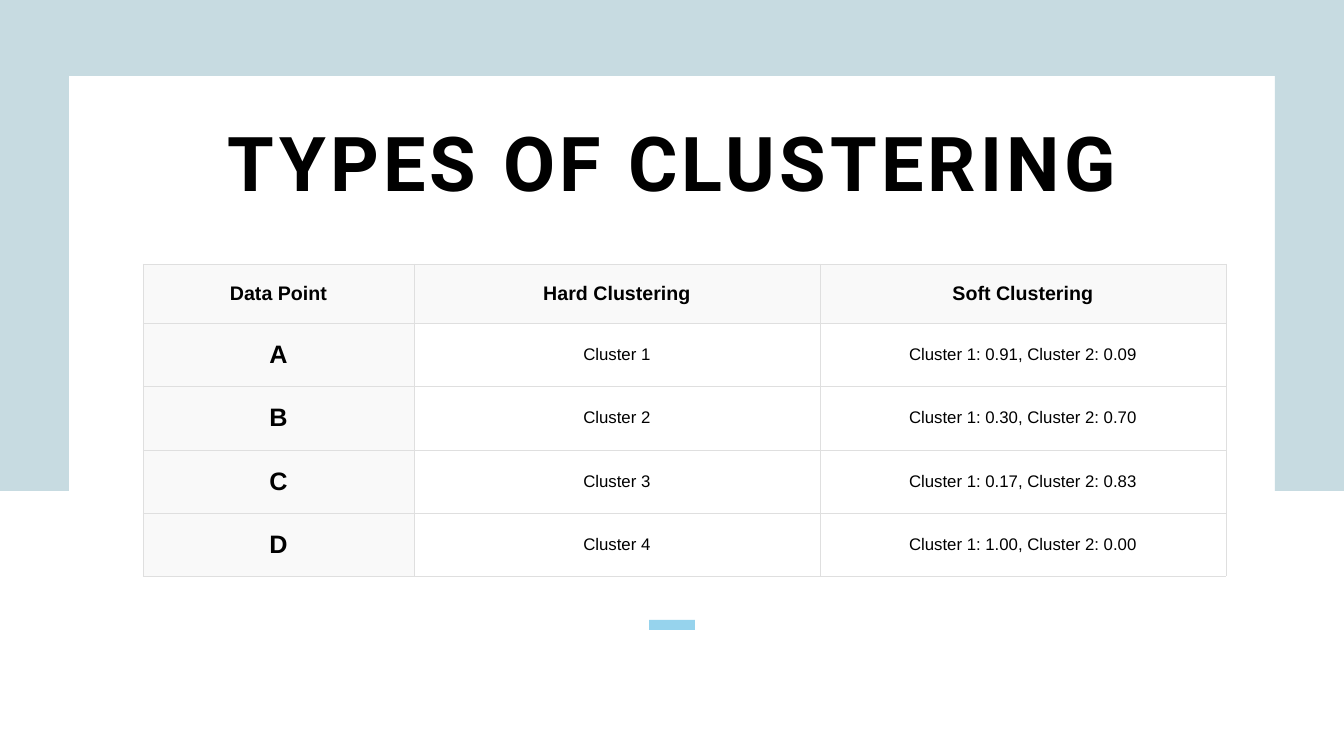
"""Build the clustering types slide."""
from lxml.etree import SubElement
from pptx import Presentation
from pptx.dml.color import RGBColor
from pptx.enum.shapes import MSO_SHAPE
from pptx.enum.text import MSO_ANCHOR, PP_ALIGN
from pptx.oxml import parse_xml
from pptx.oxml.ns import nsdecls, qn
from pptx.util import Pt

PX = 914400 / 100.8
COLORS = {"frame": "C7DBE1", "accent": "96D3ED", "text": "000000",
          "head": "F9F9F9", "body": "FFFFFF", "border": "DFDFDF"}
BORDER_WIDTH = Pt(0.15)
COLS = (271, 406, 406)
ROWS = (59, 63, 64, 63, 63)
DATA = (
    ("Data Point", "Hard Clustering", "Soft Clustering"),
    ("A", "Cluster 1", "Cluster 1: 0.91, Cluster 2: 0.09"),
    ("B", "Cluster 2", "Cluster 1: 0.30, Cluster 2: 0.70"),
    ("C", "Cluster 3", "Cluster 1: 0.17, Cluster 2: 0.83"),
    ("D", "Cluster 4", "Cluster 1: 1.00, Cluster 2: 0.00"),
)
TITLE = {"name": "Roboto", "size": Pt(54), "bold": True}
HEADER = {"name": "Arial", "size": Pt(14), "bold": True}
LABEL = {"name": "Arial", "size": Pt(18), "bold": True}
VALUE = {"name": "Arial", "size": Pt(12), "bold": False}


def px(n):
    """Convert pixels to EMU."""
    return round(n * PX)


def rgb(key):
    """Look up a named colour."""
    return RGBColor.from_string(COLORS[key])


def apply(obj, values):
    """Set every attribute in a dict of format values."""
    for name, value in values.items():
        setattr(obj, name, value)


def paint(sp, key):
    """Give a shape a flat fill without line or shadow."""
    sp.shadow.inherit = False
    sp.fill.solid()
    sp.fill.fore_color.rgb = rgb(key)
    sp.line.fill.background()


def write(tf, text, font, para):
    """Write one centred, formatted run and return it."""
    p = tf.paragraphs[0]
    apply(p, {"alignment": PP_ALIGN.CENTER, **para})
    r = p.add_run()
    r.text = text
    apply(r.font, font)
    r.font.color.rgb = rgb("text")
    return r


def add_frame(s):
    """Draw the band that wraps the top of the slide."""
    points = [(1344, 0), (1344, 491), (1275, 491), (1275, 76),
              (69, 76), (69, 491), (0, 491)]
    fb = s.shapes.build_freeform(0, 0, scale=PX)
    fb.add_line_segments(points, close=True)
    paint(fb.convert_to_shape(), "frame")


def add_bar(s, x, y, w, h):
    """Draw the small accent bar."""
    sp = s.shapes.add_shape(MSO_SHAPE.RECTANGLE, px(x), px(y), px(w), px(h))
    paint(sp, "accent")


def add_title(s, text, x, y, w, h):
    """Add the letter-spaced heading."""
    tf = s.shapes.add_textbox(px(x), px(y), px(w), px(h)).text_frame
    apply(tf, {"word_wrap": True, "vertical_anchor": MSO_ANCHOR.TOP,
               "margin_left": 0, "margin_right": 0,
               "margin_top": 0, "margin_bottom": 0})
    r = write(tf, text, TITLE, {"line_spacing": 0.9})
    r.font._element.set("spc", "300")


def add_borders(cell):
    """Draw a thin line on all four sides of a cell."""
    tcPr = cell._tc.get_or_add_tcPr()
    for i, side in enumerate(("lnL", "lnR", "lnT", "lnB")):
        ln = parse_xml(f'<a:{side} {nsdecls("a")} w="{BORDER_WIDTH}"/>')
        fill = SubElement(ln, qn("a:solidFill"))
        SubElement(fill, qn("a:srgbClr"), val=COLORS["border"])
        tcPr.insert(i, ln)


def fill_cell(cell, text, row, col):
    """Format one cell by its place in the table."""
    font = HEADER if row == 0 else LABEL if col == 0 else VALUE
    side = 4 if col == 0 else 7
    top = 7 if row == 0 else 4 if col == 0 else 10
    apply(cell, {"vertical_anchor": MSO_ANCHOR.MIDDLE,
                 "margin_left": px(side), "margin_right": px(side),
                 "margin_top": px(top), "margin_bottom": px(top)})
    cell.fill.solid()
    cell.fill.fore_color.rgb = rgb("body" if row and col else "head")
    add_borders(cell)
    write(cell.text_frame, text, font, {"space_after": Pt(7.5)})


def add_data_table(s, x, y):
    """Add the comparison table."""
    table = s.shapes.add_table(len(ROWS), len(COLS), px(x), px(y),
                               px(sum(COLS)), px(sum(ROWS))).table
    for column, w in zip(table.columns, COLS):
        column.width = px(w)
    for row, h in zip(table.rows, ROWS):
        row.height = px(h)
    for i, texts in enumerate(DATA):
        for j, text in enumerate(texts):
            fill_cell(table.cell(i, j), text, i, j)


def main():
    """Build and save the slide."""
    prs = Presentation()
    apply(prs, {"slide_width": px(1344), "slide_height": px(756)})
    s = prs.slides.add_slide(prs.slide_layouts[6])
    add_frame(s)
    add_bar(s, 649, 620, 46, 10)
    add_title(s, "TYPES OF CLUSTERING", 108, 126, 1129, 168)
    add_data_table(s, 143, 264)
    prs.save("out.pptx")


if __name__ == "__main__":
    main()
